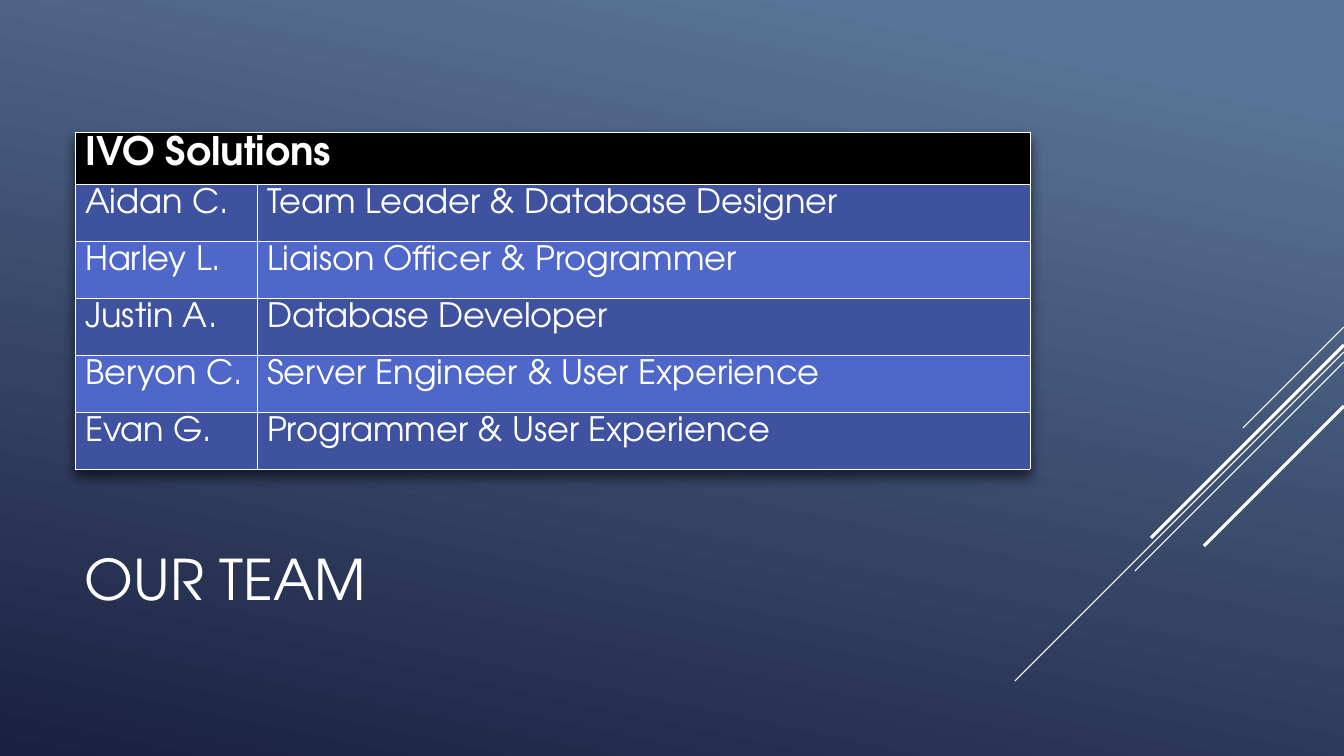
from pptx import Presentation
from pptx.dml.color import RGBColor
from pptx.enum.shapes import MSO_CONNECTOR
from pptx.enum.text import MSO_ANCHOR
from pptx.oxml import parse_xml
from pptx.oxml.ns import nsdecls
from pptx.util import Pt

TITLE = "OUR TEAM"
TEAM = "IVO Solutions"
MEMBERS = [
    ("Aidan C.", "Team Leader & Database Designer"),
    ("Harley L.", "Liaison Officer & Programmer"),
    ("Justin A.", "Database Developer"),
    ("Beryon C.", "Server Engineer & User Experience"),
    ("Evan G.", "Programmer & User Experience"),
]
# Diagonals rising to the right edge: y at the edge, run, weight in points
DIAGONALS = [
    (327, 101, 0.75), (352, 329, 0.75), (362, 209, 0.75),
    (345, 193, 2.25), (406, 140, 2.25),
]

WIDTH, HEIGHT = 1344, 756
TABLE_LEFT, TABLE_TOP = 75, 132
COLUMNS = (182, 773)
HEADER_HEIGHT, ROW_HEIGHT = 46, 57
CELL_TOP = 5
TITLE_BOX = (75, 495, 941, 166)

FONT = "TeX Gyre Adventor"
WHITE = RGBColor(0xFF, 0xFF, 0xFF)
BLACK = RGBColor(0x00, 0x00, 0x00)
BANDS = (RGBColor(0x3E, 0x52, 0xA0), RGBColor(0x4E, 0x67, 0xC8))
SKY = RGBColor(0x59, 0x74, 0x96)
NIGHT = RGBColor(0x1A, 0x20, 0x40)


def px(n):
    return round(n * 914400 / 100.8)


def write(tf, text, size, bold=False):
    tf.text = text
    font = tf.paragraphs[0].runs[0].font
    font.name, font.size, font.bold = FONT, Pt(size), bold
    font.color.rgb = WHITE


def set_borders(cell):
    tcPr = cell._tc.get_or_add_tcPr()
    for i, side in enumerate(("lnL", "lnR", "lnT", "lnB")):
        tcPr.insert(i, parse_xml(
            f'<a:{side} {nsdecls("a")} w="{Pt(0.75)}"><a:solidFill>'
            f'<a:srgbClr val="{WHITE}"/></a:solidFill></a:{side}>'))


def fill_cell(cell, text, size, color, bold=False):
    write(cell.text_frame, text, size, bold)
    cell.margin_top, cell.margin_bottom = px(CELL_TOP), 0
    cell.fill.solid()
    cell.fill.fore_color.rgb = color


def add_background(s):
    fill = s.background.fill
    fill.gradient()
    fill.gradient_angle = 258
    for stop, color, position in zip(fill.gradient_stops, (SKY, NIGHT), (0.1, 1)):
        stop.color.rgb = color
        stop.position = position


def add_diagonals(s):
    for y, run, weight in DIAGONALS:
        line = s.shapes.add_connector(
            MSO_CONNECTOR.STRAIGHT, px(WIDTH), px(y), px(WIDTH - run), px(y + run))
        line.line.color.rgb = WHITE
        line.line.width = Pt(weight)
        line._element.spPr.append(parse_xml(f'<a:effectLst {nsdecls("a")}/>'))


def add_title(s):
    tf = s.shapes.add_textbox(*map(px, TITLE_BOX)).text_frame
    tf.word_wrap = True
    tf.vertical_anchor = MSO_ANCHOR.MIDDLE
    write(tf, TITLE, 40)


def add_team_table(s):
    height = HEADER_HEIGHT + ROW_HEIGHT * len(MEMBERS)
    table = s.shapes.add_table(
        len(MEMBERS) + 1, len(COLUMNS), px(TABLE_LEFT), px(TABLE_TOP),
        px(sum(COLUMNS)), px(height)).table
    for column, width in zip(table.columns, COLUMNS):
        column.width = px(width)
    for i, row in enumerate(table.rows):
        row.height = px(ROW_HEIGHT if i else HEADER_HEIGHT)

    table.cell(0, 0).merge(table.cell(0, 1))
    # The hidden half of the header must not force a taller row
    table.cell(0, 1).margin_top = table.cell(0, 1).margin_bottom = 0
    fill_cell(table.cell(0, 0), TEAM, 28, BLACK, bold=True)
    for i, member in enumerate(MEMBERS):
        for j, text in enumerate(member):
            fill_cell(table.cell(i + 1, j), text, 24, BANDS[i % 2])
    for cell in table.iter_cells():
        set_borders(cell)

    table._tbl.tblPr.insert(0, parse_xml(
        f'<a:effectLst {nsdecls("a")}><a:outerShdw blurRad="{Pt(9)}" '
        f'dist="{Pt(5)}" dir="5400000" rotWithShape="0"><a:srgbClr val="{BLACK}">'
        '<a:alpha val="60000"/></a:srgbClr></a:outerShdw></a:effectLst>'))


def main():
    prs = Presentation()
    prs.slide_width, prs.slide_height = px(WIDTH), px(HEIGHT)
    s = prs.slides.add_slide(prs.slide_layouts[6])
    add_background(s)
    add_diagonals(s)
    add_title(s)
    add_team_table(s)
    prs.save("out.pptx")


if __name__ == "__main__":
    main()
